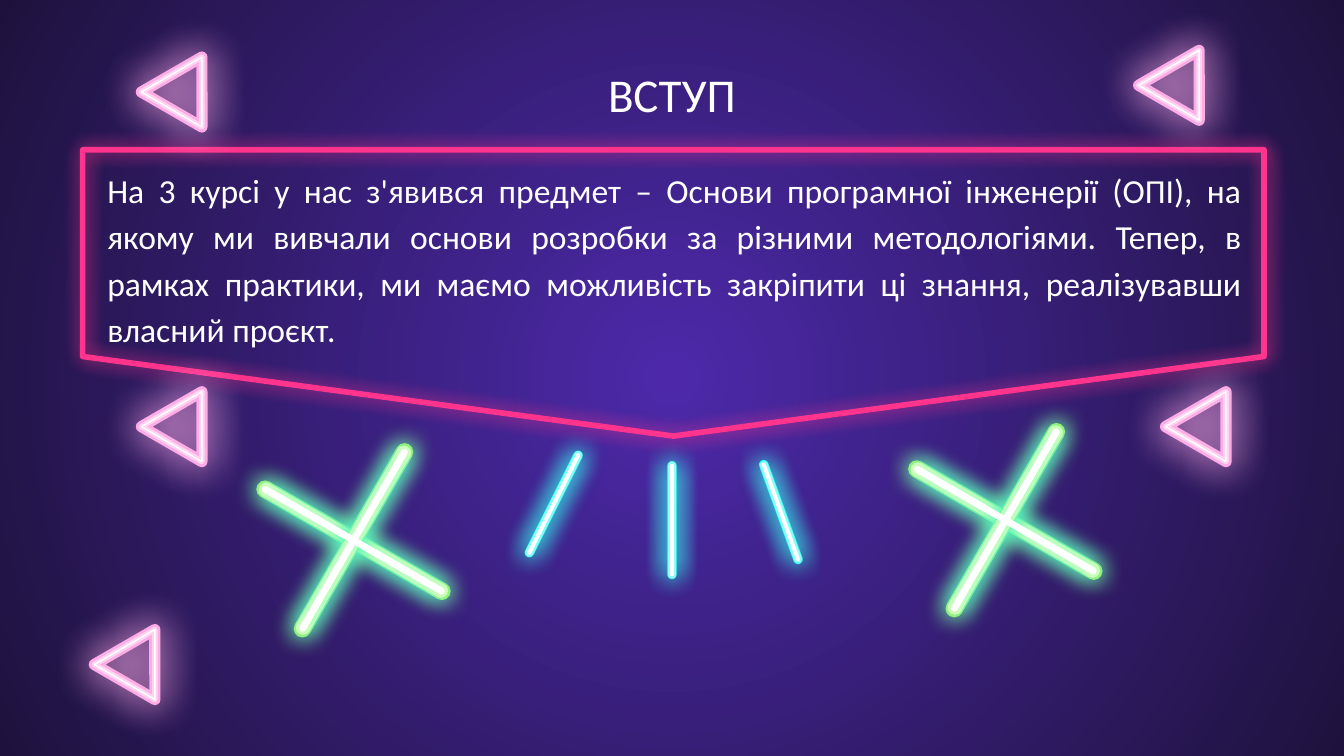
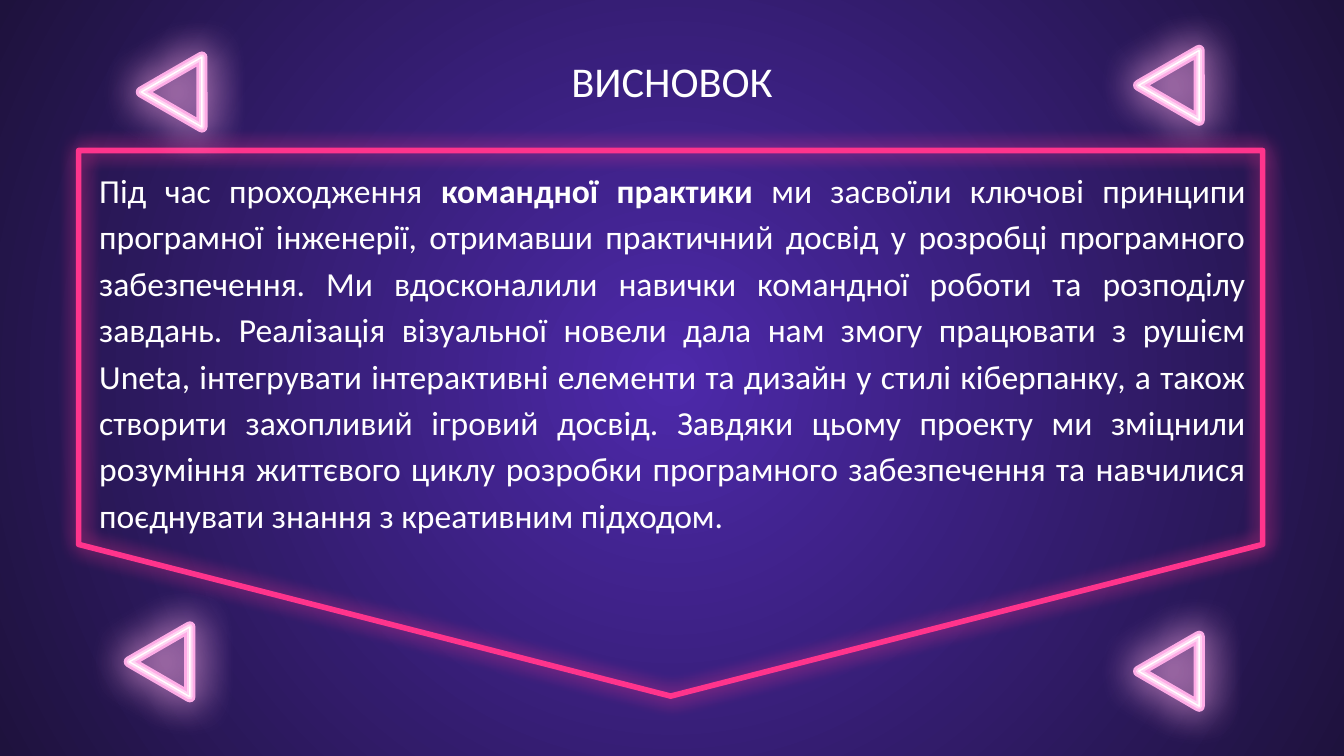
"""Build the neon intro and summary slides."""
from lxml.etree import SubElement
from pptx import Presentation
from pptx.dml.color import RGBColor
from pptx.enum.shapes import MSO_SHAPE
from pptx.enum.text import MSO_ANCHOR, PP_ALIGN
from pptx.oxml import parse_xml
from pptx.oxml.ns import nsdecls, qn
from pptx.util import Inches, Pt

WHITE, ROSE, PINK, PALE = "FFFFFF", "FF348C", "FFADE7", "FFD4F2"
LIME, MINT, CYAN, ICE = "B0F052", "E0FFB2", "36FFF4", "91FEF8"
BACK = f"""<p:bg {nsdecls('p', 'a')}><p:bgPr><a:gradFill><a:gsLst>
<a:gs pos="0"><a:srgbClr val="4D29AA"/></a:gs>
<a:gs pos="100000"><a:srgbClr val="1E123D"/></a:gs></a:gsLst>
<a:path path="circle"><a:fillToRect l="50000" t="50000" r="50000" b="50000"/></a:path>
</a:gradFill><a:effectLst/></p:bgPr></p:bg>"""


def hue(code):
    """Turn a hex string into a colour."""
    return RGBColor.from_string(code)


def draw(home, kind, mid, size, turn, fill=None, line=None, glow=None):
    """Add a turned shape around its middle, with an optional glow."""
    x, y = mid
    w, h = size
    shape = home.add_shape(kind, Inches(x - w / 2), Inches(y - h / 2), Inches(w), Inches(h))
    shape.rotation = turn
    shape.shadow.inherit = False
    if fill:
        shape.fill.solid()
        shape.fill.fore_color.rgb = hue(fill)
    else:
        shape.fill.background()
    if line:
        shape.line.color.rgb = hue(line[0])
        shape.line.width = Pt(line[1])
        SubElement(shape._element.spPr.find(qn("a:ln")), qn("a:round"))
    else:
        shape.line.fill.background()
    if glow:
        code, blur, dist = glow
        effects = shape._element.spPr.find(qn("a:effectLst"))
        cast = SubElement(effects, qn("a:outerShdw"), blurRad=str(Pt(blur)),
                          dist=str(Pt(dist)), dir="0", algn="ctr", rotWithShape="0")
        SubElement(cast, qn("a:srgbClr"), val=code)
    return shape


PAGES = [
    {
        "title": ("ВСТУП", 25.2, 0.59, 0.22, MSO_ANCHOR.MIDDLE),
        "plate": ((5.01, 2.18), (2.13, 8.79)),
        "body": (0.7, 8.64, 1.99),
        "runs": [
            ("На 3 курсі у нас з'явився предмет – Основи програмної інженерії (ОПІ), "
             "на якому ми вивчали основи розробки за різними методологіями. Тепер, в "
             "рамках практики, ми маємо можливість закріпити ці знання, реалізувавши "
             "власний проєкт.", False),
        ],
        "marks": [(1.39, 3.11), (1.39, 0.62), (9.01, 3.11), (8.81, 0.57), (1.04, 4.88)],
        "stars": [(7.48, 3.87), (2.63, 4.02)],
        "rays": [((4.12, 3.75), 116.6, (0.88, 0.87, 0.84)),
                 ((5.81, 3.81), 70.1, (0.82, 0.8, 0.78)),
                 ((5, 3.87), 90, (0.88, 0.87, 0.84))],
    },
    {
        "title": ("ВИСНОВОК", 22.7, 0.31, 0.58, MSO_ANCHOR.TOP),
        "plate": ((4.99, 3.15), (4.06, 8.81)),
        "body": (0.64, 8.73, 2.82),
        "runs": [
            ("Під час проходження ", False),
            ("командної практики", True),
            (" ми засвоїли ключові принципи програмної інженерії, отримавши практичний "
             "досвід у розробці програмного забезпечення. Ми вдосконалили навички "
             "командної роботи та розподілу завдань. Реалізація візуальної новели дала "
             "нам змогу працювати з рушієм Uneta, інтегрувати інтерактивні елементи та "
             "дизайн у стилі кіберпанку, а також створити захопливий ігровий досвід. "
             "Завдяки цьому проекту ми зміцнили розуміння життєвого циклу розробки "
             "програмного забезпечення та навчилися поєднувати знання з креативним "
             "підходом.", False),
        ],
        "marks": [(1.39, 0.62), (8.81, 0.57), (1.3, 4.86), (8.81, 4.93)],
        "stars": [],
        "rays": [],
    },
]

deck = Presentation()
deck.slide_width = Inches(10)
deck.slide_height = deck.slide_width * 9 // 16

for page in PAGES:
    slide = deck.slides.add_slide(deck.slide_layouts[6])
    slide._element.cSld.insert(0, parse_xml(BACK))
    shapes = slide.shapes
    name, size, top, high, hold = page["title"]
    left, wide, tall = page["body"]
    texts = [
        ((0.59, top, 8.82, high), [(name, False)], size, PP_ALIGN.CENTER, 1, hold),
        ((left, 1.12, wide, tall), page["runs"], 18, PP_ALIGN.JUSTIFY, 1.15, MSO_ANCHOR.TOP),
    ]
    for area, runs, size, align, space, hold in texts:
        frame = shapes.add_textbox(*map(Inches, area)).text_frame
        frame.word_wrap = True
        frame.vertical_anchor = hold
        frame.margin_left = frame.margin_right = Inches(0.1)
        frame.margin_top = frame.margin_bottom = Inches(0.1)
        para = frame.paragraphs[0]
        para.alignment, para.line_spacing = align, space
        para.font.name, para.font.size = "Calibri", Pt(size)
        para.font.color.rgb = hue(WHITE)
        for text, bold in runs:
            run = para.add_run()
            run.text = text
            if bold:
                run.font.bold = True

        if align == PP_ALIGN.CENTER:
            mid, span = page["plate"]
            plate = draw(shapes, MSO_SHAPE.PENTAGON, mid, span, 90,
                         line=(ROSE, 3), glow=(ROSE, 10.1, 0.8))
            plate.adjustments[0] = 0.278

    for mid in page["marks"]:
        group = shapes.add_group_shape().shapes
        for code, width in ((PINK, 6), (PALE, 3), (WHITE, 0.75)):
            draw(group, MSO_SHAPE.ISOSCELES_TRIANGLE, mid, (0.52, 0.45), 30,
                 line=(code, width), glow=None if code == WHITE else (PINK, 22.5, 0))

    bars = []
    for mid in page["stars"]:
        layers = [(turn, *layer) for turn in (30, 120) for layer in (
            (1.65, 0.13, LIME, LIME), (1.61, 0.11, MINT, CYAN), (1.56, 0.05, WHITE, CYAN))]
        layers += [(turn, 1.56, 0.05, WHITE, None) for turn in (30, 120)]
        bars.append((mid, layers))
    for mid, turn, spans in page["rays"]:
        coats = zip(spans, (0.07, 0.06, 0.03), (CYAN, ICE, WHITE))
        bars.append((mid, [(turn, *coat, CYAN) for coat in coats]))
    for mid, layers in bars:
        group = shapes.add_group_shape().shapes
        for turn, long, thick, fill, code in layers:
            bar = draw(group, MSO_SHAPE.ROUNDED_RECTANGLE, mid, (long, thick), turn,
                       fill=fill, glow=(code, 13.5, 0) if code else None)
            bar.adjustments[0] = 0.5

deck.save("out.pptx")
